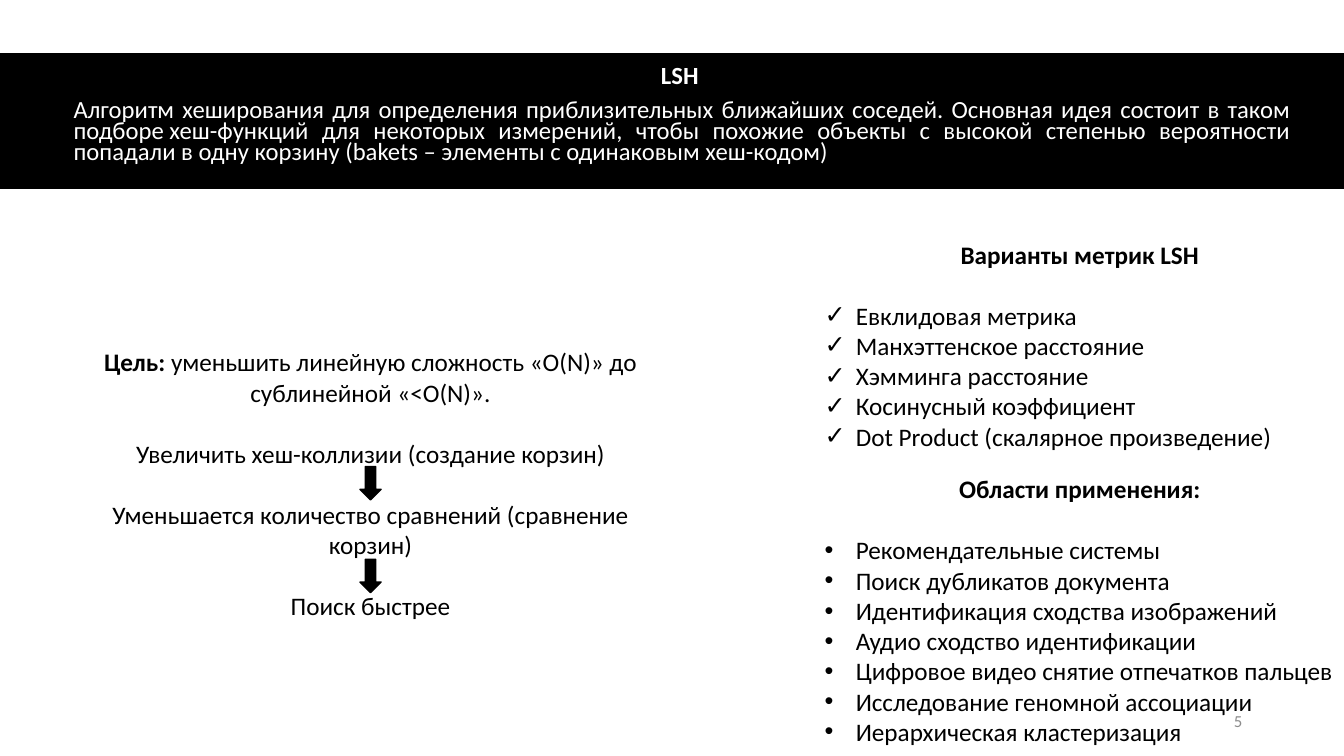
from dataclasses import dataclass

from lxml.etree import SubElement
from pptx import Presentation
from pptx.dml.color import RGBColor
from pptx.enum.shapes import MSO_SHAPE as Preset
from pptx.enum.text import MSO_ANCHOR as Anchor
from pptx.enum.text import MSO_AUTO_SIZE as AutoSize
from pptx.enum.text import PP_ALIGN as Align
from pptx.oxml.ns import qn
from pptx.util import Inches, Pt


@dataclass(frozen=True)
class Theme:
    font: str = "Calibri"
    dark: RGBColor = RGBColor(0, 0, 0)
    light: RGBColor = RGBColor(255, 255, 255)
    muted: RGBColor = RGBColor(0x8C, 0x8C, 0x8C)
    intro_size: float = 17.6
    body_size: float = 18
    number_size: float = 12
    line_gap: float = 22  # one line of body text, in points


THEME = Theme()

INTRO = (
    "Алгоритм хеширования для определения приблизительных ближайших соседей. "
    "Основная идея состоит в таком подборе\u00a0хеш-функций для некоторых измерений, "
    "чтобы похожие объекты с высокой степенью вероятности попадали в одну корзину "
    "(bakets – элементы с одинаковым хеш-кодом)"
)
METRICS = [
    "Евклидовая метрика",
    "Манхэттенское расстояние",
    "Хэмминга расстояние",
    "Косинусный коэффициент",
    "Dot Product (скалярное произведение)",
]
USES = [
    "Рекомендательные системы",
    "Поиск дубликатов документа",
    "Идентификация сходства изображений",
    "Аудио сходство идентификации",
    "Цифровое видео снятие отпечатков пальцев",
    "Исследование геномной ассоциации",
    "Иерархическая кластеризация",
]
STEPS = [
    "Увеличить хеш-коллизии (создание корзин)",
    "Уменьшается количество сравнений (сравнение корзин)",
    "Поиск быстрее",
]


def set_format(target, values):
    for name, value in values.items():
        setattr(target, name, value)


def place(shape, left, top, width, height):
    set_format(shape, {"left": Inches(left), "top": Inches(top),
                       "width": Inches(width), "height": Inches(height)})


def add_black_shape(page, preset, left, top, width, height):
    shape = page.shapes.add_shape(
        preset, Inches(left), Inches(top), Inches(width), Inches(height))
    shape.shadow.inherit = False
    shape.fill.solid()
    shape.fill.fore_color.rgb = THEME.dark
    shape.line.color.rgb = THEME.dark
    shape.line.width = Pt(1)


def add_text_frame(page, left, top, width, height, auto_size=AutoSize.SHAPE_TO_FIT_TEXT):
    box = page.shapes.add_textbox(
        Inches(left), Inches(top), Inches(width), Inches(height))
    set_format(box.text_frame, {"word_wrap": True, "auto_size": auto_size})
    return box.text_frame


def add_span(para, text, bold=False, size=THEME.body_size, color=THEME.dark):
    span = para.add_run()
    span.text = text
    set_format(span.font, {"name": THEME.font, "size": Pt(size), "bold": bold})
    span.font.color.rgb = color


def add_para(frame, **values):
    """Use the first paragraph while it is empty, then append."""
    first = frame.paragraphs[0]
    para = frame.add_paragraph() if first.runs else first
    set_format(para, values)
    return para


def set_bullet(para, mark=None, indent=0.0):
    properties = para._p.get_or_add_pPr()
    properties.set("marL", str(Inches(indent)))
    properties.set("indent", str(-Inches(indent)))
    if mark:
        SubElement(properties, qn("a:buFont"), typeface="Arial")
        SubElement(properties, qn("a:buChar"), char=mark)
    else:
        SubElement(properties, qn("a:buNone"))


def fill_intro(placeholder):
    place(placeholder, 0.63, 0.62, 12.28, 1.15)
    frame = placeholder.text_frame
    frame.auto_size = AutoSize.NONE
    for text, align, bold in (("LSH ", Align.CENTER, True), (INTRO, Align.JUSTIFY, False)):
        para = add_para(frame, alignment=align, line_spacing=0.7, space_before=Pt(10))
        set_bullet(para)
        add_span(para, text, bold, THEME.intro_size, THEME.light)


def add_list(page, top, height, heading, items, mark):
    frame = add_text_frame(page, 8.08, top, 5.26, height)
    para = add_para(frame, alignment=Align.CENTER, space_after=Pt(THEME.line_gap))
    add_span(para, heading, bold=True)
    for item in items:
        para = add_para(frame)
        set_bullet(para, mark, 0.31)
        add_span(para, item)


def add_goal(page):
    frame = add_text_frame(page, 0.81, 3.39, 5.73, 2.83)
    para = add_para(frame, alignment=Align.CENTER)
    add_span(para, "Цель: ", bold=True)
    add_span(para, "уменьшить линейную сложность «O(N)» до сублинейной «<O(N)».")
    for step in STEPS:
        para = add_para(frame, alignment=Align.CENTER, space_before=Pt(THEME.line_gap))
        add_span(para, step)


def add_page_number(page):
    frame = add_text_frame(page, 9.42, 6.95, 3, 0.4, AutoSize.NONE)
    frame.vertical_anchor = Anchor.MIDDLE
    para = add_para(frame, alignment=Align.RIGHT)
    add_span(para, "5", size=THEME.number_size, color=THEME.muted)


def main():
    deck = Presentation()
    set_format(deck, {"slide_width": Inches(13.33), "slide_height": Inches(7.5)})
    page = deck.slides.add_slide(deck.slide_layouts[1])
    title, intro = page.placeholders
    title.element.getparent().remove(title.element)

    # Black band with the definition, text in front
    add_black_shape(page, Preset.RECTANGLE, 0, 0.53, 13.33, 1.34)
    fill_intro(intro)
    page.shapes._spTree.append(intro.element)

    # Right column
    add_list(page, 4.65, 2.83, "Области применения:", USES, "•")
    add_list(page, 2.32, 2.22, "Варианты метрик LSH", METRICS, "✓")

    # Goal and the steps towards it
    add_goal(page)
    for top in (4.63, 5.55):
        add_black_shape(page, Preset.DOWN_ARROW, 3.57, top, 0.21, 0.33)

    add_page_number(page)
    deck.save("out.pptx")


if __name__ == "__main__":
    main()
